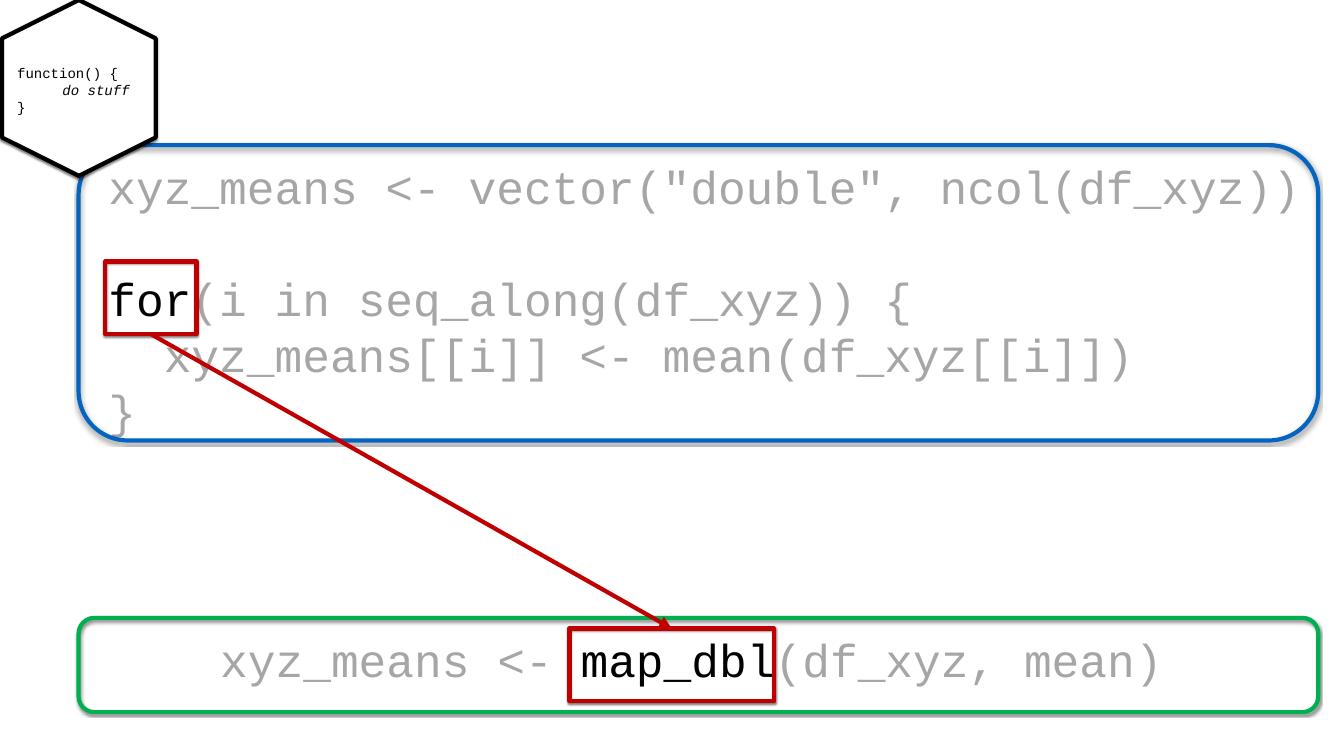
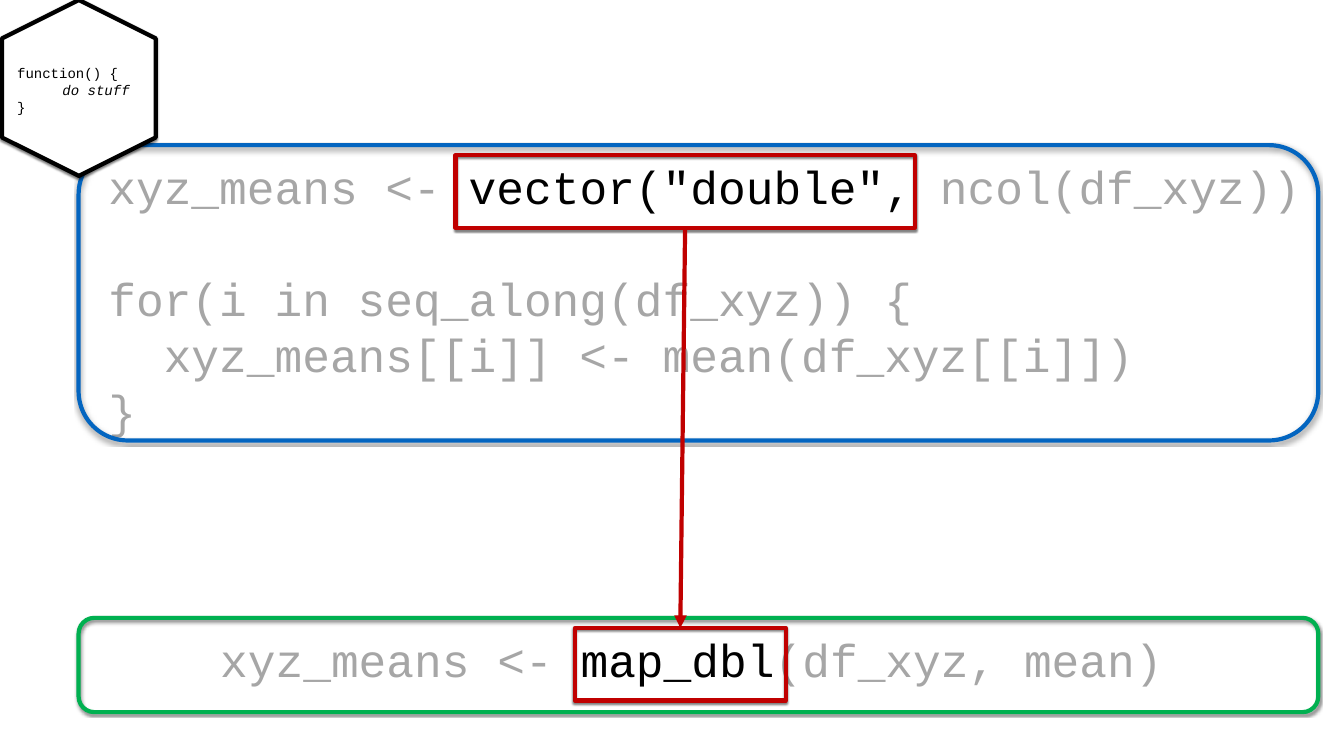
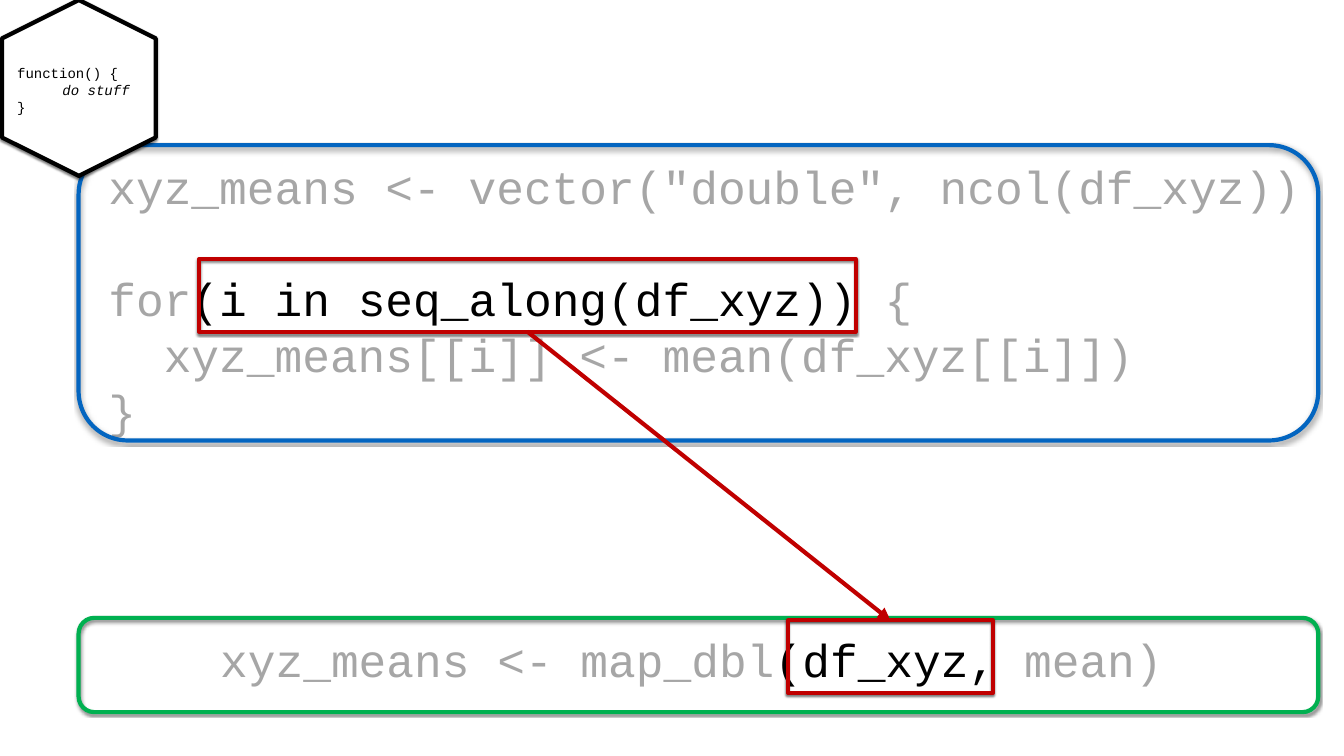
import pptx
import pptx.dml.color
import pptx.enum.shapes
import pptx.enum.text
import pptx.oxml
import pptx.oxml.ns
import pptx.util

EMU_PER_PX = 9144
SHAPE = pptx.enum.shapes.MSO_SHAPE
FONT = "Courier New"
CODE_SIZE, BADGE_SIZE = 66, 20
COLOURS = {
    "muted": "A6A6A6",
    "ink": "000000",
    "paper": "FFFFFF",
    "loop": "0365C0",
    "map": "00B050",
    "accent": "C00000",
}
LOOP_CODE = [
    'xyz_means <- vector("double", ncol(df_xyz))',
    "",
    "for(i in seq_along(df_xyz)) {",
    "  xyz_means[[i]] <- mean(df_xyz[[i]])",
    "}",
]
MAP_CODE = ["xyz_means <- map_dbl(df_xyz, mean)"]
SLIDES = [
    ("for", (209, 519, 181, 144), "map_dbl", (1130, 1247, 406, 144)),
    ('vector("double", ', (904, 308, 911, 144), "map_dbl", (1141, 1246, 418, 144)),
    ("(i in seq_along(df_xyz)) ", (395, 514, 1303, 144), "(df_xyz, ", (1564, 1231, 406, 144)),
]


def px(value):
    return pptx.util.Emu(value * EMU_PER_PX)


def rgb(name):
    return pptx.dml.color.RGBColor.from_string(COLOURS[name])


def xml(tag, attributes="", children=""):
    namespace = pptx.oxml.ns.nsdecls("a")
    return pptx.oxml.parse_xml(f"<a:{tag} {namespace} {attributes}>{children}</a:{tag}>")


def add_run(paragraph, text, *, size=CODE_SIZE, colour="ink", italic=False):
    if not text:
        return
    run = paragraph.add_run()
    run.text = text
    run.font.name = FONT
    run.font.size = pptx.util.Pt(size)
    run.font.italic = italic
    run.font.color.rgb = rgb(colour)


class Deck:
    def __init__(self):
        self.presentation = pptx.Presentation()
        self.presentation.slide_width = px(2667)
        self.presentation.slide_height = px(1500)

    def new_slide(self):
        self.slide = self.presentation.slides.add_slide(self.presentation.slide_layouts[6])
        self.shapes = self.slide.shapes

    def start_group(self):
        self.shapes = self.slide.shapes.add_group_shape().shapes

    def end_group(self):
        self.shapes = self.slide.shapes

    def outline(self, kind, box, colour, fill=None, rotation=0):
        shape = self.shapes.add_shape(kind, *map(px, box))
        shape.rotation = rotation
        if fill:
            shape.fill.solid()
            shape.fill.fore_color.rgb = rgb(fill)
        else:
            shape.fill.background()
        shape.line.color.rgb = rgb(colour)
        shape.line.width = pptx.util.Pt(6)
        shape.shadow.inherit = False
        effects = shape._element.spPr.find(pptx.oxml.ns.qn("a:effectLst"))
        effects.append(xml(
            "outerShdw",
            'blurRad="38100" dist="25400" dir="5400000" rotWithShape="0"',
            '<a:srgbClr val="000000"><a:alpha val="50000"/></a:srgbClr>'))
        return shape

    def text_frame(self, box, fill=None):
        shape = self.shapes.add_textbox(*map(px, box))
        if fill:
            shape.fill.solid()
            shape.fill.fore_color.rgb = rgb(fill)
        frame = shape.text_frame
        frame.word_wrap = True
        frame.auto_size = pptx.enum.text.MSO_AUTO_SIZE.SHAPE_TO_FIT_TEXT
        frame.vertical_anchor = pptx.enum.text.MSO_ANCHOR.MIDDLE
        frame.margin_left = frame.margin_top = px(6)
        frame.margin_right = frame.margin_bottom = px(6)
        return frame

    def next_paragraph(self, frame, first, line_height):
        paragraph = frame.paragraphs[0] if first else frame.add_paragraph()
        paragraph.line_spacing = pptx.util.Pt(line_height)
        return paragraph

    def code(self, box, lines, highlight):
        frame = self.text_frame(box)
        line_height = 80
        gap = 0
        for index, line in enumerate(lines):
            if not line:
                gap += line_height
                continue
            paragraph = self.next_paragraph(frame, index == 0, line_height)
            if gap:
                paragraph.space_before = pptx.util.Pt(gap)
                gap = 0
            before, found, after = line.partition(highlight)
            add_run(paragraph, before, colour="muted")
            add_run(paragraph, found)
            add_run(paragraph, after, colour="muted")

    def code_panel(self, code_box, lines, highlight, panel_box, colour):
        self.start_group()
        self.code(code_box, lines, highlight)
        self.outline(SHAPE.ROUNDED_RECTANGLE, panel_box, colour)
        self.end_group()

    def badge(self):
        self.start_group()
        self.outline(SHAPE.HEXAGON, (-18, 22, 349, 305), "ink", "paper", 270)
        frame = self.text_frame((28, 122, 257, 112), "paper")
        for index, line in enumerate(["function() {", "\tdo stuff", "}"]):
            paragraph = self.next_paragraph(frame, index == 0, 24)
            indented = line.startswith("\t")
            if indented:
                tab = f'<a:tab pos="{px(90)}" algn="l"/>'
                paragraph._p.get_or_add_pPr().append(xml("tabLst", children=tab))
            add_run(paragraph, line, size=BADGE_SIZE, italic=indented)
        self.end_group()

    def arrow(self, source, target):
        connector = self.shapes.add_connector(
            pptx.enum.shapes.MSO_CONNECTOR.STRAIGHT, 0, 0, 0, 0)
        connector.begin_connect(source, 2)
        connector.end_connect(target, 0)
        connector.line.color.rgb = rgb("accent")
        connector.line.width = pptx.util.Pt(6)
        properties = connector._element.spPr
        line = properties.find(pptx.oxml.ns.qn("a:ln"))
        line.append(xml("tailEnd", 'type="triangle"'))
        properties.append(xml("effectLst"))


def main():
    deck = Deck()
    for loop_part, loop_box, map_part, map_box in SLIDES:
        deck.new_slide()
        deck.code_panel((209, 308, 2407, 567), LOOP_CODE, loop_part,
                        (156, 288, 2460, 586), "loop")
        deck.code_panel((431, 1246, 1910, 122), MAP_CODE, map_part,
                        (156, 1226, 2460, 187), "map")
        deck.badge()
        source = deck.outline(SHAPE.RECTANGLE, loop_box, "accent")
        target = deck.outline(SHAPE.RECTANGLE, map_box, "accent")
        deck.arrow(source, target)
    deck.presentation.save("out.pptx")


if __name__ == "__main__":
    main()
